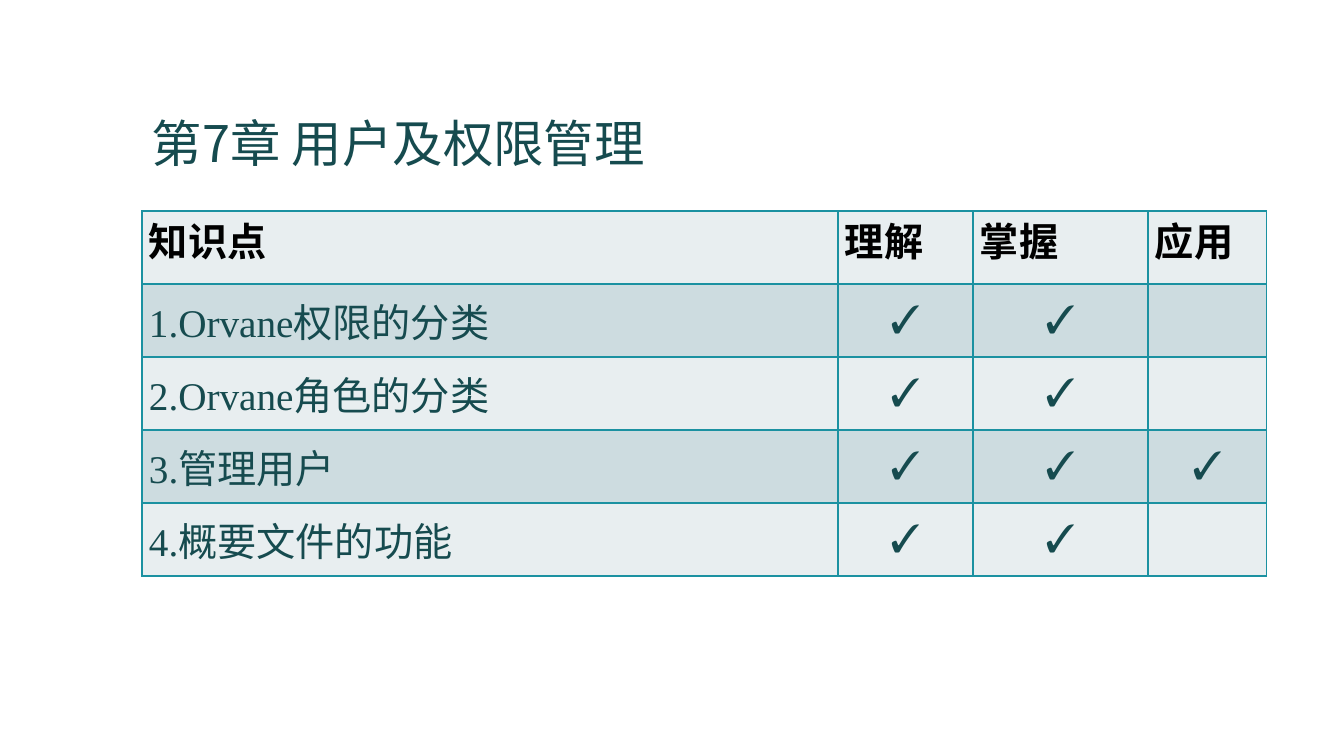
from lxml.etree import SubElement
from pptx import Presentation
from pptx.dml.color import RGBColor
from pptx.enum.text import MSO_ANCHOR as Anchor, PP_ALIGN as Align
from pptx.oxml.ns import qn
from pptx.util import Emu, Pt

PX = 914400 / 100.8
SANS = "Noto Sans CJK SC"
SERIF = "Times New Roman"
BLACK = RGBColor(0x00, 0x00, 0x00)
TEAL = RGBColor(0x16, 0x4B, 0x4F)
BORDER = RGBColor(0x1B, 0x91, 0xA1)
LIGHT = RGBColor(0xE8, 0xEE, 0xF0)
DARK = RGBColor(0xCD, 0xDC, 0xE0)

COLUMNS = [696, 135, 175, 119]
ROW_HEIGHT = 73
HEADER = ["知识点", "理解", "掌握", "应用"]
TOPICS = [
    ["1.Orvane权限的分类", "✓", "✓", ""],
    ["2.Orvane角色的分类", "✓", "✓", ""],
    ["3.管理用户", "✓", "✓", "✓"],
    ["4.概要文件的功能", "✓", "✓", ""],
]


def px(n):
    return Emu(round(n * PX))


def write(tf, text, size, font, color, bold=False, align=Align.LEFT):
    p = tf.paragraphs[0]
    p.text = text
    p.alignment = align
    p.font.size = Pt(size)
    p.font.name = font
    p.font.bold = bold
    p.font.color.rgb = color
    return p


def add_title(slide, text):
    sp = slide.shapes.add_textbox(px(142), px(52), px(1058), px(126))
    tf = sp.text_frame
    tf.word_wrap = True
    tf.vertical_anchor = Anchor.BOTTOM
    write(tf, text, 36, SANS, TEAL).line_spacing = 0.9


def set_borders(cell):
    tc_pr = cell._tc.get_or_add_tcPr()
    for side in ("a:lnL", "a:lnR", "a:lnT", "a:lnB"):
        ln = SubElement(tc_pr, qn(side), w=str(Pt(1)))
        fill = SubElement(ln, qn("a:solidFill"))
        SubElement(fill, qn("a:srgbClr"), val=str(BORDER))


def style_cell(cell, fill, anchor, margin):
    set_borders(cell)
    cell.fill.solid()
    cell.fill.fore_color.rgb = fill
    cell.vertical_anchor = anchor
    cell.margin_left = cell.margin_right = px(7)
    cell.margin_top = cell.margin_bottom = px(margin)


def add_topic_table(slide):
    rows = [HEADER] + TOPICS
    frame = slide.shapes.add_table(
        len(rows), len(COLUMNS), px(142), px(211),
        px(sum(COLUMNS)), px(ROW_HEIGHT * len(rows)))
    table = frame.table
    table.first_row = table.horz_banding = False
    for column, width in zip(table.columns, COLUMNS):
        column.width = px(width)
    for i, texts in enumerate(rows):
        table.rows[i].height = px(ROW_HEIGHT)
        for j, text in enumerate(texts):
            cell = table.cell(i, j)
            if i == 0:
                style_cell(cell, LIGHT, Anchor.TOP, 0)
                write(cell.text_frame, text, 28, SANS, BLACK, bold=True)
            else:
                style_cell(cell, DARK if i % 2 else LIGHT, Anchor.MIDDLE, 6)
                write(cell.text_frame, text, 28, SERIF, TEAL,
                      align=Align.CENTER if j else Align.LEFT)


def main():
    prs = Presentation()
    prs.slide_width, prs.slide_height = px(1344), px(756)
    slide = prs.slides.add_slide(prs.slide_layouts[6])
    add_title(slide, "第7章 用户及权限管理")
    add_topic_table(slide)
    prs.save("out.pptx")


if __name__ == "__main__":
    main()
